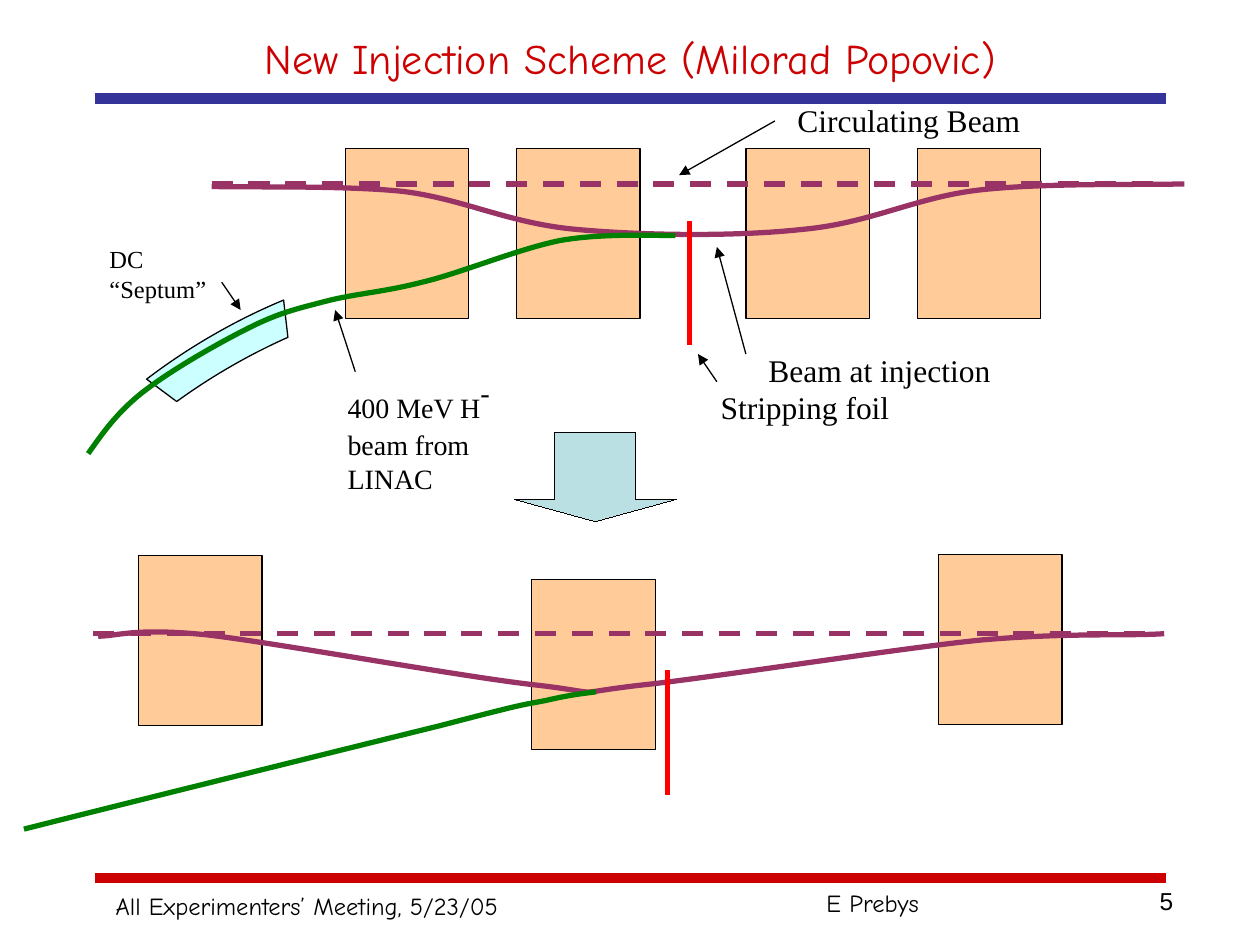
import pptx
import pptx.dml.color
import pptx.enum.dml
import pptx.enum.shapes
import pptx.enum.text
import pptx.oxml
import pptx.oxml.ns
import pptx.util
from pptx.util import Inches

RGBColor = pptx.dml.color.RGBColor
BLACK = RGBColor(0x00, 0x00, 0x00)
CRIMSON = RGBColor(0xCC, 0x00, 0x00)
NAVY = RGBColor(0x33, 0x33, 0x99)
PEACH = RGBColor(0xFF, 0xCC, 0x99)
ICE = RGBColor(0xCC, 0xFF, 0xFF)
TEAL = RGBColor(0xBB, 0xE0, 0xE3)
PLUM = RGBColor(0x99, 0x33, 0x66)
GREEN = RGBColor(0x00, 0x80, 0x00)
RED = RGBColor(0xFF, 0x00, 0x00)

SHAPE = pptx.enum.shapes.MSO_SHAPE
ALIGN = pptx.enum.text.PP_ALIGN
ANCHOR = pptx.enum.text.MSO_ANCHOR
SERIF = "Times New Roman"
HAND = "Comic Neue"
NAMESPACE = pptx.oxml.ns.nsdecls("a")

deck = pptx.Presentation()
deck.slide_width, deck.slide_height = Inches(10), Inches(7.5)
slide = deck.slides.add_slide(deck.slide_layouts[6])


def write(text, left, top, width, height, size=18, font=SERIF, color=BLACK,
          align=ALIGN.LEFT, anchor=ANCHOR.TOP, wrap=True):
    box = slide.shapes.add_textbox(Inches(left), Inches(top), Inches(width), Inches(height))
    frame = box.text_frame
    frame.word_wrap = wrap
    frame.vertical_anchor = anchor
    paragraph = frame.paragraphs[0]
    paragraph.alignment = align
    runs = [(text, size, 0)] if isinstance(text, str) else text
    for words, points, baseline in runs:
        run = paragraph.add_run()
        run.text = words
        run.font.size = pptx.util.Pt(points)
        run.font.name = font
        run.font.color.rgb = color
        if baseline:
            run.font._element.set("baseline", str(baseline * 1000))


def draw(preset, left, top, width, height, fill, weight=0.75, adjustments=()):
    shape = slide.shapes.add_shape(preset, Inches(left), Inches(top), Inches(width), Inches(height))
    shape.shadow.inherit = False
    shape.fill.solid()
    shape.fill.fore_color.rgb = fill
    shape.line.color.rgb = BLACK
    shape.line.width = pptx.util.Pt(weight)
    for index, value in enumerate(adjustments):
        shape.adjustments[index] = value
    return shape


septum = draw(SHAPE.BLOCK_ARC, -0.29, 2.46, 5.45, 2.99, ICE, adjustments=(147.999, 176.001, 0.096))
septum.rotation = 330

magnets = [(left, 1.18) for left in (2.74, 4.1, 5.92, 7.28)]
magnets += [(1.1, 4.41), (4.22, 4.6), (7.45, 4.4)]
for left, top in magnets:
    draw(SHAPE.RECTANGLE, left, top, 0.98, 1.35, PEACH)

draw(SHAPE.DOWN_ARROW, 4.08, 3.43, 1.29, 0.71, TEAL, weight=0.01, adjustments=(0.5, 0.25))

beams = [
    (PLUM, [(1.68, 1.48), (1.93, 1.49), (2.72, 1.47), (3.2, 1.52), (3.68, 1.58), (4.03, 1.77),
            (4.56, 1.82), (5.09, 1.87), (5.84, 1.88), (6.38, 1.82), (6.91, 1.77), (7.26, 1.57),
            (7.76, 1.51), (8.27, 1.45), (9.06, 1.47), (9.4, 1.46)]),
    (GREEN, [(5.36, 1.87), (5.2, 1.87), (4.77, 1.85), (4.44, 1.91), (4.1, 1.98), (3.65, 2.17),
             (3.35, 2.24), (3.04, 2.32), (2.82, 2.33), (2.59, 2.39), (2.36, 2.45), (2.22, 2.48),
             (1.98, 2.6), (1.74, 2.72), (1.37, 2.93), (1.15, 3.1), (0.94, 3.26), (0.82, 3.43),
             (0.7, 3.6)]),
    (PLUM, [(0.78, 5.05), (0.93, 5.05), (1.07, 4.98), (1.65, 5.04), (2.24, 5.11), (3.71, 5.38),
            (4.28, 5.44), (4.85, 5.51), (4.48, 5.51), (5.07, 5.44), (5.65, 5.38), (7.1, 5.15),
            (7.79, 5.08), (8.49, 5.02), (8.94, 5.05), (9.24, 5.03)]),
    (GREEN, [(4.73, 5.49), (4.67, 5.5), (4.54, 5.51), (4.33, 5.56), (4.12, 5.6), (4.18, 5.58),
             (3.49, 5.76), (2.8, 5.93), (0.74, 6.44), (0.19, 6.58)]),
]
for color, knots in beams:
    points = [(Inches(x), Inches(y)) for x, y in knots]
    builder = slide.shapes.build_freeform(*points[0])
    builder.add_line_segments(points[1:], close=False)
    beam = builder.convert_to_shape()
    segments = beam._element.xpath(".//a:lnTo")
    for start in range(0, len(segments), 3):
        curve = pptx.oxml.parse_xml(f"<a:cubicBezTo {NAMESPACE}/>")
        segments[start].addprevious(curve)
        for segment in segments[start:start + 3]:
            curve.append(segment[0])
            segment.getparent().remove(segment)
    beam.shadow.inherit = False
    beam.fill.background()
    beam.line.color.rgb = color
    beam.line.width = pptx.util.Pt(3)

lines = [
    (0.75, 6.97, 9.25, 6.97, CRIMSON, 6, "rule"),
    (0.75, 0.78, 9.25, 0.78, NAVY, 6, "rule"),
    (5.47, 1.75, 5.47, 2.74, RED, 3, "foil"),
    (5.3, 5.32, 5.3, 6.31, RED, 3, "foil"),
    (1.68, 1.46, 9.26, 1.46, PLUM, 3, "orbit"),
    (0.74, 5.03, 9.09, 5.03, PLUM, 3, "orbit"),
    (6.15, 0.96, 5.39, 1.39, BLACK, 0.75, "pointer"),
    (5.92, 2.81, 5.69, 1.96, BLACK, 0.75, "pointer"),
    (2.82, 2.95, 2.66, 2.46, BLACK, 0.75, "pointer"),
    (1.76, 2.24, 1.91, 2.46, BLACK, 0.75, "pointer"),
    (5.69, 3.03, 5.54, 2.81, BLACK, 0.75, "pointer"),
]
for x1, y1, x2, y2, color, weight, role in lines:
    line = slide.shapes.add_connector(pptx.enum.shapes.MSO_CONNECTOR.STRAIGHT,
                                      Inches(x1), Inches(y1), Inches(x2), Inches(y2))
    line.line.color.rgb = color
    line.line.width = pptx.util.Pt(weight)
    if role == "orbit":
        line.line.dash_style = pptx.enum.dml.MSO_LINE.DASH
    if role == "pointer":
        head = pptx.oxml.parse_xml(f'<a:tailEnd {NAMESPACE} type="triangle"/>')
        line.line._get_or_add_ln().append(head)
    line._element.spPr.append(pptx.oxml.parse_xml(f"<a:effectLst {NAMESPACE}/>"))

write("New Injection Scheme (Milorad Popovic)", 0.75, 0.17, 8.5, 0.58, size=24, font=HAND,
      color=CRIMSON, align=ALIGN.CENTER, anchor=ANCHOR.MIDDLE)
write("Circulating Beam", 6.23, 0.75, 2.12, 0.4)
write("Beam at injection", 6, 2.74, 2.42, 0.4)
write("Stripping foil", 5.62, 3.03, 2.42, 0.4)
write("DC “Septum”", 0.77, 1.89, 1.21, 0.57, size=14)
write([("400 MeV H", 16, 0), ("-", 28, 30), (" ", 16, 30), ("beam from LINAC", 16, 0)],
      2.66, 2.88, 1.82, 1.1)
write("All Experimenters’ Meeting, 5/23/05", 0.82, 7.02, 3.24, 0.34, size=14, font=HAND, wrap=False)
write("E Prebys", 6.46, 7, 2.77, 0.34, size=14, font=HAND)
write("5", 7.08, 6.98, 2.33, 0.52, size=14, font="Arial", align=ALIGN.RIGHT)

deck.save("out.pptx")
